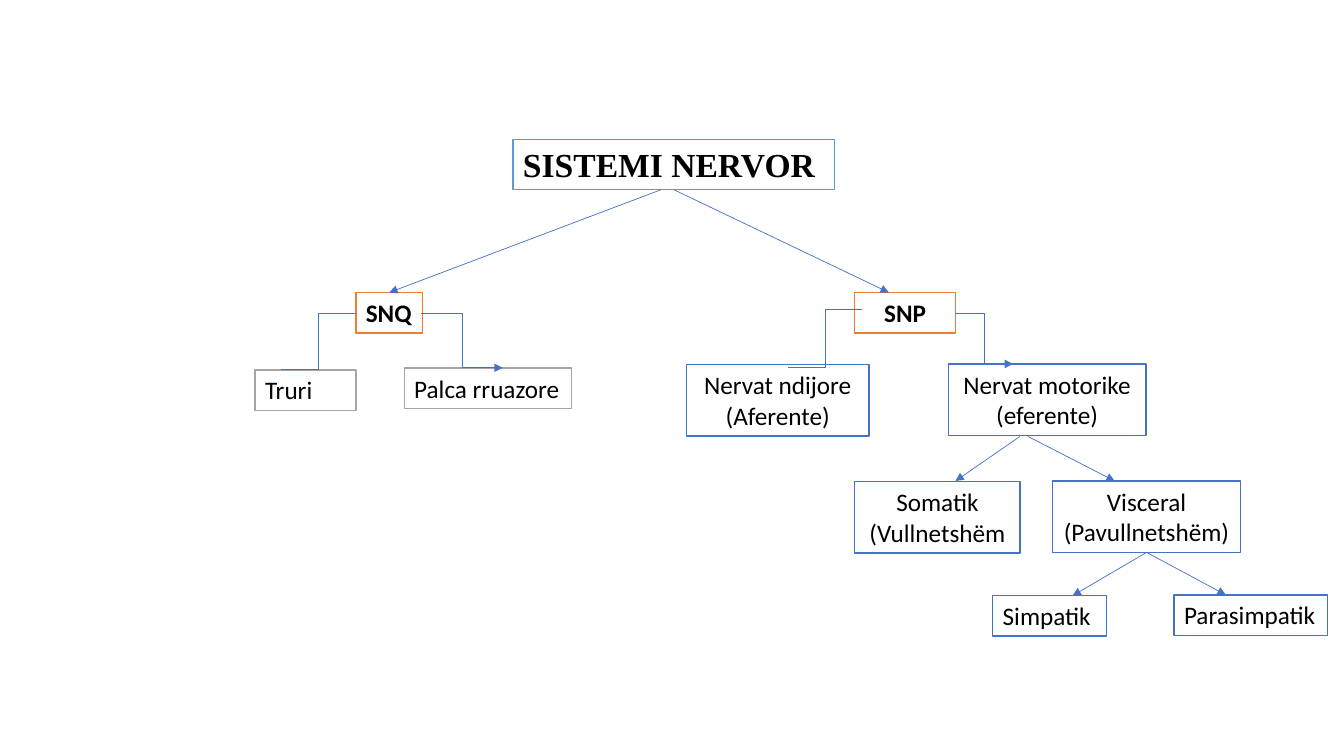
from lxml.etree import SubElement
from pptx import Presentation
from pptx.dml.color import RGBColor
from pptx.enum.shapes import MSO_CONNECTOR, MSO_SHAPE
from pptx.enum.text import MSO_ANCHOR, MSO_AUTO_SIZE, PP_ALIGN
from pptx.oxml.ns import qn
from pptx.util import Cm, Pt

WHITE = RGBColor(0xFF, 0xFF, 0xFF)
BLACK = RGBColor(0x00, 0x00, 0x00)
SKY = RGBColor(0x5B, 0x9B, 0xD5)
ORANGE = RGBColor(0xED, 0x7D, 0x31)
GREY = RGBColor(0xA5, 0xA5, 0xA5)
BLUE = RGBColor(0x44, 0x72, 0xC4)

ROW_H, TALL_H = 1.02, 1.8  # boxes of one and two lines
TOP, BOTTOM = 0, 2


def add_box(s, x, y, w, h, lines, color, center=False, bold=False,
            size=18, font="Calibri", wrap=True):
    sp = s.shapes.add_shape(MSO_SHAPE.RECTANGLE, Cm(x), Cm(y), Cm(w), Cm(h))
    sp.shadow.inherit = False
    sp.fill.solid()
    sp.fill.fore_color.rgb = WHITE
    sp.line.color.rgb = color
    sp.line.width = Pt(1)
    tf = sp.text_frame
    tf.word_wrap = wrap
    tf.auto_size = MSO_AUTO_SIZE.SHAPE_TO_FIT_TEXT
    tf.vertical_anchor = MSO_ANCHOR.TOP
    for i, text in enumerate(lines):
        p = tf.paragraphs[0] if i == 0 else tf.add_paragraph()
        p.alignment = PP_ALIGN.CENTER if center else PP_ALIGN.LEFT
        r = p.add_run()
        r.text = text
        r.font.name = font
        r.font.size = Pt(size)
        r.font.bold = bold
        r.font.color.rgb = BLACK
    return sp


def add_link(s, x1, y1, x2, y2, kind=MSO_CONNECTOR.STRAIGHT, arrow=True):
    c = s.shapes.add_connector(kind, Cm(x1), Cm(y1), Cm(x2), Cm(y2))
    c.line.color.rgb = BLUE
    c.line.width = Pt(0.5)
    if arrow:
        SubElement(c.line._get_or_add_ln(), qn("a:tailEnd"), type="triangle")
    SubElement(c._element.spPr, qn("a:effectLst"))
    return c


def add_central(s, x, y):
    """Central nervous system; returns its head box."""
    head = add_box(s, x + 2.54, y, 1.68, ROW_H, ["SNQ"], ORANGE,
                   bold=True, wrap=False)
    add_box(s, x, y + 1.95, 2.54, ROW_H, ["Truri"], GREY)
    add_box(s, x + 3.76, y + 1.9, 4.22, ROW_H, ["Palca rruazore"], GREY)
    add_link(s, x + 2.54, y + 0.53, x + 0.66, y + 1.95,
             MSO_CONNECTOR.ELBOW, arrow=False)
    add_link(s, x + 4.19, y + 0.53, x + 6.24, y + 1.9, MSO_CONNECTOR.ELBOW)
    return head


def add_peripheral(s, x, y):
    """Peripheral nervous system with sensory and motor nerves."""
    add_box(s, x + 4.24, y, 2.54, ROW_H, ["SNP"], ORANGE,
            center=True, bold=True)
    add_box(s, x, y + 1.82, 4.6, TALL_H,
            ["Nervat ndijore", "(Aferente)"], BLUE, center=True)
    add_box(s, x + 6.6, y + 1.8, 4.98, TALL_H,
            ["Nervat motorike", "(eferente)"], BLUE, center=True)
    add_link(s, x + 6.78, y + 0.53, x + 8.23, y + 1.8, MSO_CONNECTOR.ELBOW)
    add_link(s, x + 4.42, y + 0.43, x + 2.56, y + 1.88,
             MSO_CONNECTOR.ELBOW, arrow=False)


def add_motor(s, x, y):
    """Divisions of the motor nerves."""
    add_box(s, x, y + 0.02, 4.17, TALL_H,
            ["Somatik", "(Vullnetshëm"], BLUE, center=True)
    visceral = add_box(s, x + 4.98, y, 4.75, TALL_H,
                       ["Visceral", "(Pavullnetshëm)"], BLUE, center=True)
    add_link(s, x + 4.16, y - 1.12, x + 2.54, y)
    add_link(s, x + 4.37, y - 1.12, x + 6.55, y)
    add_box(s, x + 3.48, y + 2.89, 2.87, ROW_H, ["Simpatik"], BLUE)
    add_box(s, x + 8.05, y + 2.87, 3.86, ROW_H, ["Parasimpatik"], BLUE)
    for dx, dy in ((5.49, 2.89), (9.35, 2.87)):
        c = add_link(s, x + 7.35, y + TALL_H, x + dx, y + dy)
        c.begin_connect(visceral, BOTTOM)


def main():
    prs = Presentation()
    prs.slide_width, prs.slide_height = Cm(33.87), Cm(19.05)
    s = prs.slides.add_slide(prs.slide_layouts[6])

    # Root and its branches
    root = add_box(s, 12.93, 3.51, 8.1, 1.27, ["SISTEMI NERVOR"], SKY,
                   bold=True, size=24, font="Times New Roman")
    snq = add_central(s, 6.43, 7.37)
    add_peripheral(s, 17.3, 7.37)
    add_motor(s, 21.54, 12.12)

    # Arrows from the root
    add_link(s, 16.66, 4.78, 9.81, 7.37).end_connect(snq, TOP)
    add_link(s, 16.98, 4.78, 22.4, 7.37).begin_connect(root, BOTTOM)

    prs.save("out.pptx")


if __name__ == "__main__":
    main()
